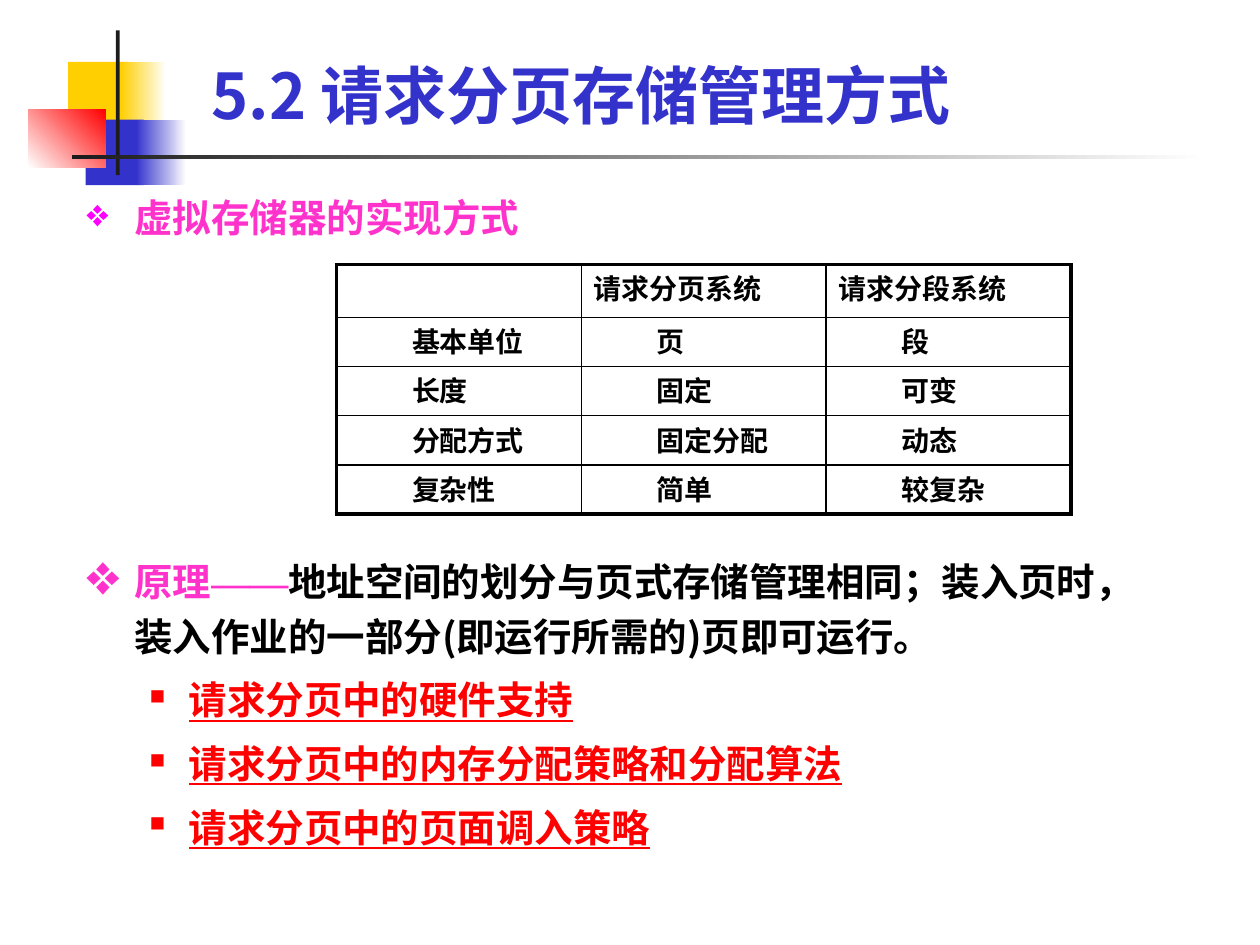
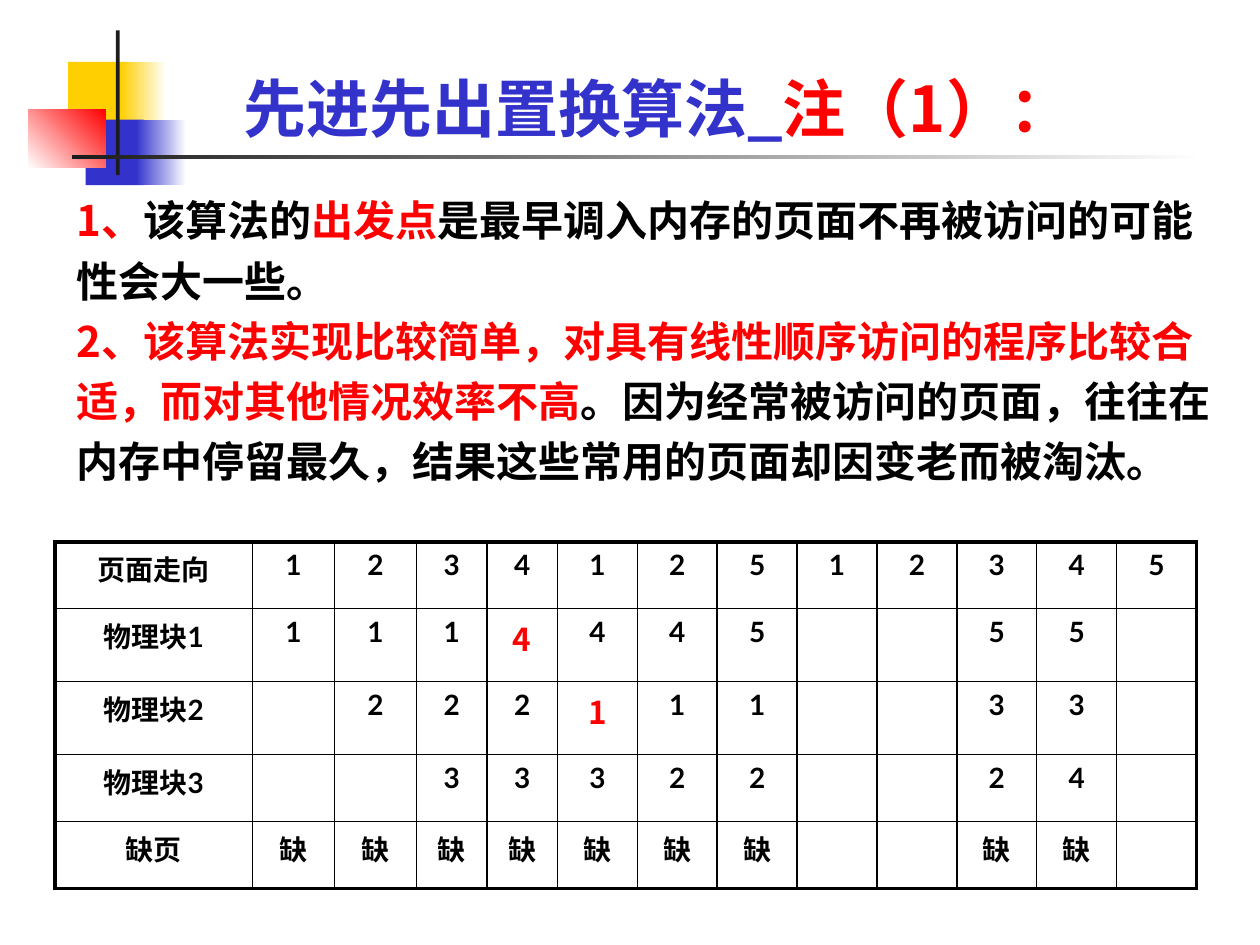
from lxml.etree import SubElement
from pptx import Presentation
from pptx.dml.color import RGBColor
from pptx.enum.shapes import MSO_SHAPE
from pptx.enum.text import MSO_ANCHOR, MSO_AUTO_SIZE, PP_ALIGN
from pptx.oxml import parse_xml
from pptx.oxml.ns import nsdecls, qn
from pptx.util import Inches, Pt

COLS, ROWS = 100, 75
CELL = Inches(0.1)
CJK, LATIN, SERIF = "Noto Sans CJK SC", "Lato", "Times New Roman"
BLACK, WHITE, DARK = "000000", "FFFFFF", "1C1C1C"
BLUE, YELLOW, RED, PINK, MAGENTA = "3333CC", "FFCF01", "FF0000", "FF33CC", "FF00FF"
THICK, THIN = 2.25, 1


def rgb(value):
    return RGBColor.from_string(value)


def grid(*lengths):
    return [round(n * CELL) for n in lengths]


def add_run(p, text, size=22, color=BLACK, font=CJK, ea=None, underline=None):
    r = p.add_run()
    r.text = text
    r.font.size = Pt(size)
    r.font.bold = True
    r.font.underline = underline
    r.font.color.rgb = rgb(color)
    r.font.name = font
    SubElement(r._r.get_or_add_rPr(), qn("a:ea")).set("typeface", ea or font)


def add_rect(slide, box, color, end=None, angle=0):
    sp = slide.shapes.add_shape(MSO_SHAPE.RECTANGLE, *grid(*box))
    sp.shadow.inherit = False
    sp.line.fill.background()
    if end is None:
        sp.fill.solid()
        sp.fill.fore_color.rgb = rgb(color)
        return
    sp.fill.gradient()
    sp.fill.gradient_angle = angle
    for stop, stop_color in zip(sp.fill.gradient_stops, (color, end)):
        stop.color.rgb = rgb(stop_color)


def add_emblem(slide):
    add_rect(slide, (5.4, 4.9, 4.8, 5.2), YELLOW)
    add_rect(slide, (9.6, 4.9, 3.6, 5.2), YELLOW, WHITE)
    add_rect(slide, (6.8, 9.5, 4.6, 5.2), BLUE)
    add_rect(slide, (10.8, 9.5, 4, 5.2), BLUE, WHITE)
    add_rect(slide, (2.25, 8.7, 6.15, 4.6), WHITE, RED, angle=45)
    add_rect(slide, (9.2, 2.4, 0.3, 11.5), DARK)
    add_rect(slide, (5.7, 12.3, 90, 0.35), DARK, WHITE)


def add_slide(prs, title_box, *title_runs):
    slide = prs.slides.add_slide(prs.slide_layouts[5])
    add_emblem(slide)
    title = slide.shapes.title
    title.left, title.top, title.width, title.height = grid(*title_box)
    tf = title.text_frame
    tf.auto_size = MSO_AUTO_SIZE.NONE
    tf.word_wrap = True
    tf.vertical_anchor = MSO_ANCHOR.BOTTOM
    p = tf.paragraphs[0]
    p.alignment = PP_ALIGN.LEFT
    for text, color in title_runs:
        add_run(p, text, size=36, color=color)
    return slide


def set_bullet(p, char, color, share, left, hang):
    pPr = p._p.get_or_add_pPr()
    pPr.set("marL", str(grid(left)[0]))
    pPr.set("indent", str(-grid(hang)[0]))
    clr = SubElement(pPr, qn("a:buClr"))
    SubElement(clr, qn("a:srgbClr")).set("val", color)
    SubElement(pPr, qn("a:buSzPct")).set("val", str(share * 1000))
    SubElement(pPr, qn("a:buChar")).set("char", char)


def add_text(slide, box, paragraphs, pitch, gap=0):
    tf = slide.shapes.add_textbox(*grid(*box)).text_frame
    tf.word_wrap = True
    for i, (bullet, runs) in enumerate(paragraphs):
        p = tf.paragraphs[0] if i == 0 else tf.add_paragraph()
        p.line_spacing = Pt(pitch)
        if i and gap:
            p.space_before = Pt(gap)
        if bullet:
            set_bullet(p, *bullet)
        for text, fmt in runs:
            add_run(p, text, **fmt)


def set_borders(cell, widths):
    tcPr = cell._tc.get_or_add_tcPr()
    for i, (side, width) in enumerate(zip("LRTB", widths)):
        tcPr.insert(i, parse_xml(
            f'<a:ln{side} {nsdecls("a")} w="{Pt(width)}"><a:solidFill>'
            f'<a:srgbClr val="{BLACK}"/></a:solidFill></a:ln{side}>'))


def add_table(slide, left, top, widths, heights, rows, fill_cell):
    frame = slide.shapes.add_table(len(heights), len(widths),
                                   *grid(left, top, sum(widths), sum(heights)))
    table = frame.table
    table.first_row = table.horz_banding = False
    for column, width in zip(table.columns, grid(*widths)):
        column.width = width
    for row, height in zip(table.rows, grid(*heights)):
        row.height = height
    last_row, last_col = len(heights) - 1, len(widths) - 1
    for i, texts in enumerate(rows):
        for j, text in enumerate(texts):
            cell = table.cell(i, j)
            cell.fill.background()
            edges = (j == 0, j == last_col, i == 0, i == last_row)
            set_borders(cell, [THICK if edge else THIN for edge in edges])
            if text.strip():
                fill_cell(cell.text_frame.paragraphs[0], text, i, j)


def fill_system_cell(p, text, i, j):
    p.line_spacing = 0.9
    if i:
        p._p.get_or_add_pPr().set("marL", str(grid(5)[0]))
    add_run(p, text, size=16)


def fill_page_cell(p, text, i, j):
    p.alignment = PP_ALIGN.CENTER
    if (i, j) in ((1, 4), (2, 5)):
        add_run(p, text, size=18, color=RED)
    else:
        add_run(p, text, size=16, font=LATIN, ea=CJK)


def build_paging_slide(prs):
    slide = add_slide(prs, (15.8, 2.8, 75.9, 8.2), ("5.2 请求分页存储管理方式", BLUE))
    heading = (("❖", MAGENTA, 100, 3.8, 3.8),
               [("虚拟存储器的实现方式", {"color": PINK})])
    principle = (("❖", PINK, 150, 3.8, 3.8), [
        ("原理", {"color": PINK}),
        ("——", {"color": PINK, "font": SERIF}),
        ("地址空间的划分与页式存储管理相同；装入页时，"
         "装入作业的一部分(即运行所需的)页即可运行。", {}),
    ])
    topics = [(("■", RED, 55, 8.1, 3.1), [(text, {"color": RED, "underline": True})])
              for text in ("请求分页中的硬件支持",
                           "请求分页中的内存分配策略和分配算法",
                           "请求分页中的页面调入策略")]
    add_text(slide, (5.9, 14.2, 87.4, 5.4), [heading], pitch=31.4)
    add_text(slide, (5.9, 43.1, 87.4, 25), [principle, *topics], pitch=31.4, gap=4.9)
    rows = [
        ("", "请求分页系统", "请求分段系统"),
        ("基本单位", "页", "段"),
        ("长度", "固定", "可变"),
        ("分配方式", "固定分配", "动态"),
        ("复杂性", "简单", "较复杂"),
    ]
    add_table(slide, 26.7, 21, [19.44] * 3, [4.2] + [3.9] * 4, rows, fill_system_cell)


def build_fifo_slide(prs):
    slide = add_slide(prs, (18.3, 3.8, 71, 8.2),
                      ("先进先出置换算法_", BLUE), ("注（1）：", RED))
    black, red = {"size": 24}, {"size": 24, "color": RED}
    notes = [
        (None, [("1、", red), ("该算法的", black), ("出发点", red),
                ("是最早调入内存的页面不再被访问的可能性会大一些。", black)]),
        (None, [("2、该算法实现比较简单，对具有线性顺序访问的程序比较合适，"
                 "而对其他情况效率不高", red),
                ("。因为经常被访问的页面，往往在内存中停留最久，"
                 "结果这些常用的页面却因变老而被淘汰。", black)]),
    ]
    add_text(slide, (5.1, 14.2, 93.2, 25), notes, pitch=34.4)
    rows = [
        ["页面走向", *"123412512345"],
        ["物理块1", *"1114445  55 "],
        ["物理块2", *" 222111  33 "],
        ["物理块3", *"  33322  24 "],
        ["缺页", *"缺缺缺缺缺缺缺  缺缺 "],
    ]
    widths = [15.7, 6.5, 6.5, 5.6, 5.6] + [6.34] * 8
    add_table(slide, 4.35, 43, widths, [5.3, 5.8, 5.8, 5.3, 5.3], rows, fill_page_cell)


def main():
    prs = Presentation()
    prs.slide_width, prs.slide_height = grid(COLS, ROWS)
    build_paging_slide(prs)
    build_fifo_slide(prs)
    prs.save("out.pptx")


if __name__ == "__main__":
    main()
